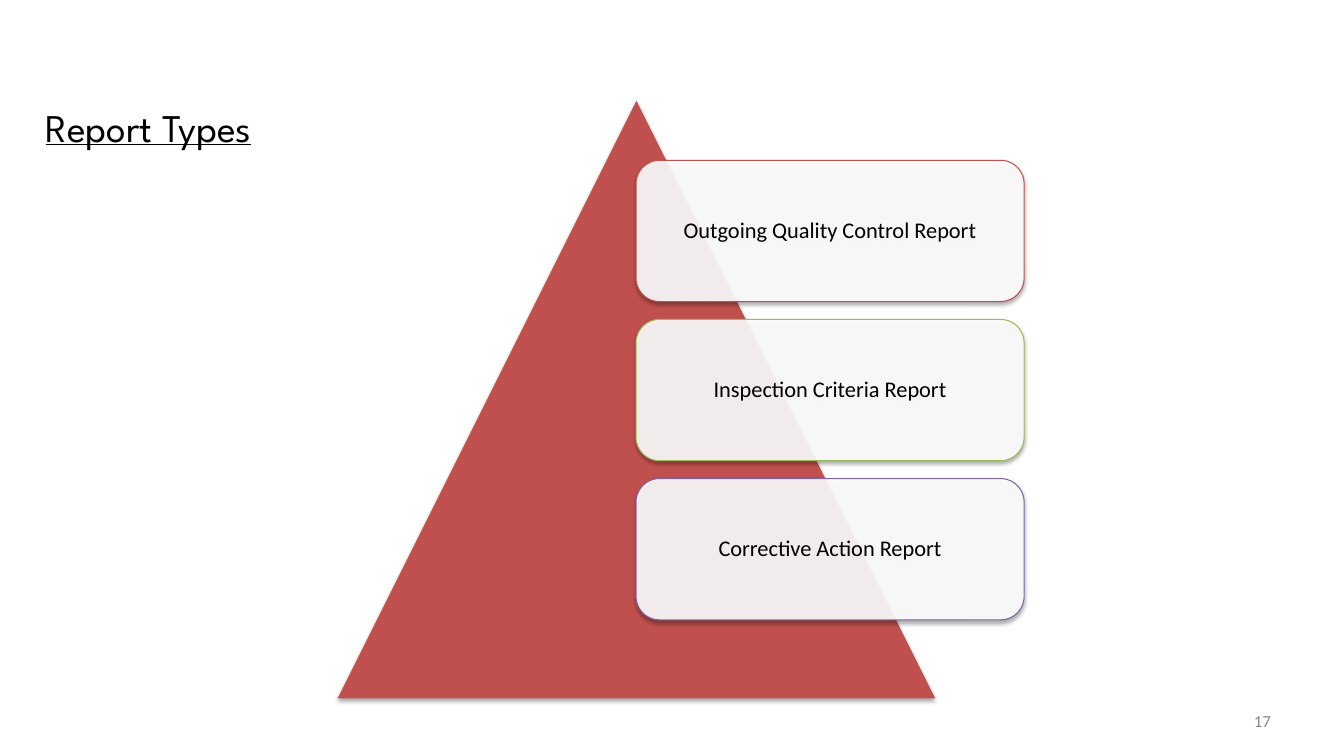
from lxml import etree
from pptx import Presentation
from pptx.dml.color import RGBColor
from pptx.enum import shapes, text
from pptx.oxml.ns import qn
from pptx.util import Cm, Pt

RED = RGBColor(0xC0, 0x50, 0x4D)
GREEN = RGBColor(0x9B, 0xBB, 0x59)
PURPLE = RGBColor(0x80, 0x64, 0xA2)
WHITE = RGBColor(0xFF, 0xFF, 0xFF)
BLACK = RGBColor(0x00, 0x00, 0x00)
GREY = RGBColor(0x88, 0x88, 0x88)


def add_shadow(shape):
    """Give the shape a soft black shadow straight below it."""
    shape.shadow.inherit = False
    effects = shape._element.spPr.find(qn("a:effectLst"))
    shadow = etree.SubElement(effects, qn("a:outerShdw"), blurRad=str(Pt(3)),
                              dist=str(Pt(1.8)), dir="5400000", rotWithShape="0")
    color = etree.SubElement(shadow, qn("a:srgbClr"), val=str(BLACK))
    etree.SubElement(color, qn("a:alpha"), val="35000")


def write(shape, words, font, size, color, align, inset):
    frame = shape.text_frame
    frame.word_wrap = True
    frame.auto_size = text.MSO_AUTO_SIZE.NONE
    frame.vertical_anchor = text.MSO_ANCHOR.MIDDLE
    frame.margin_left = frame.margin_right = Cm(inset)
    frame.margin_top = frame.margin_bottom = Cm(inset)
    para = frame.paragraphs[0]
    para.alignment = align
    span = para.add_run()
    span.text = words
    span.font.name = font
    span.font.size = Pt(size)
    span.font.color.rgb = color
    return para


deck = Presentation()
deck.slide_width, deck.slide_height = Cm(33.87), Cm(19.05)
page = deck.slides.add_slide(deck.slide_layouts[5])

title = page.shapes.title
title.left, title.top, title.width, title.height = Cm(1.02), Cm(2.46), Cm(26.64), Cm(1.45)
heading = write(title, "Report Types", "League Spartan", 28, BLACK, text.PP_ALIGN.LEFT, 0.13)
heading.runs[0].font.underline = True

number = page.shapes.add_textbox(Cm(31.25), Cm(17.83), Cm(0.91), Cm(0.69))
write(number, "17", "Calibri", 12, GREY, text.PP_ALIGN.RIGHT, 0.13)

pyramid = page.shapes.add_shape(shapes.MSO_SHAPE.ISOSCELES_TRIANGLE,
                                Cm(8.51), Cm(2.54), Cm(15.06), Cm(15.06))
pyramid.fill.solid()
pyramid.fill.fore_color.rgb = RED
pyramid.line.fill.background()
add_shadow(pyramid)

reports = [
    ("Outgoing Quality Control Report", RED),
    ("Inspection Criteria Report", GREEN),
    ("Corrective Action Report", PURPLE),
]
for row, (name, outline) in enumerate(reports):
    card = page.shapes.add_shape(shapes.MSO_SHAPE.ROUNDED_RECTANGLE,
                                 Cm(16.03), Cm(4.04 + 4.01 * row), Cm(9.78), Cm(3.56))
    card.fill.solid()
    card.fill.fore_color.rgb = WHITE
    fill_color = card._element.spPr.find(qn("a:solidFill")).find(qn("a:srgbClr"))
    etree.SubElement(fill_color, qn("a:alpha"), val="90000")
    card.line.color.rgb = outline
    card.line.width = Pt(0.75)
    add_shadow(card)
    label = write(card, name, "Calibri", 16, BLACK, text.PP_ALIGN.CENTER, 0.33)
    label.line_spacing = 0.9

deck.save("out.pptx")
